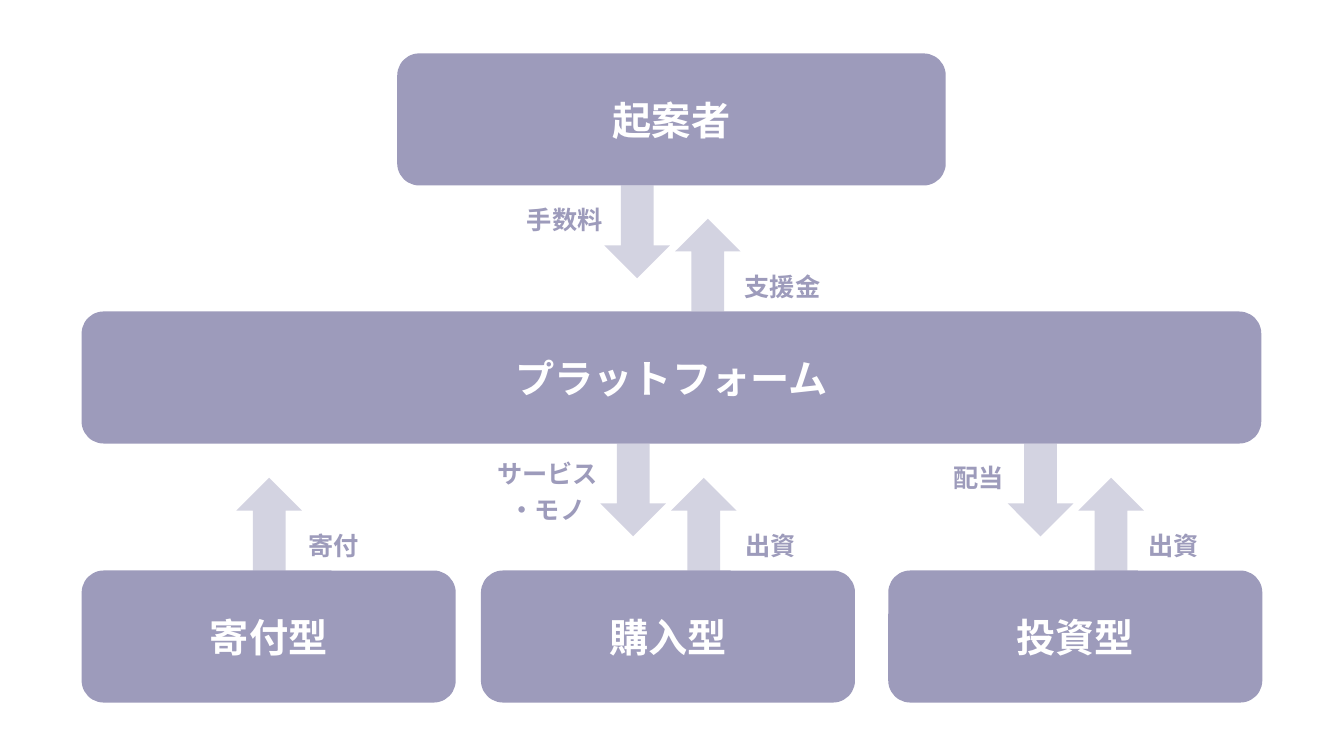
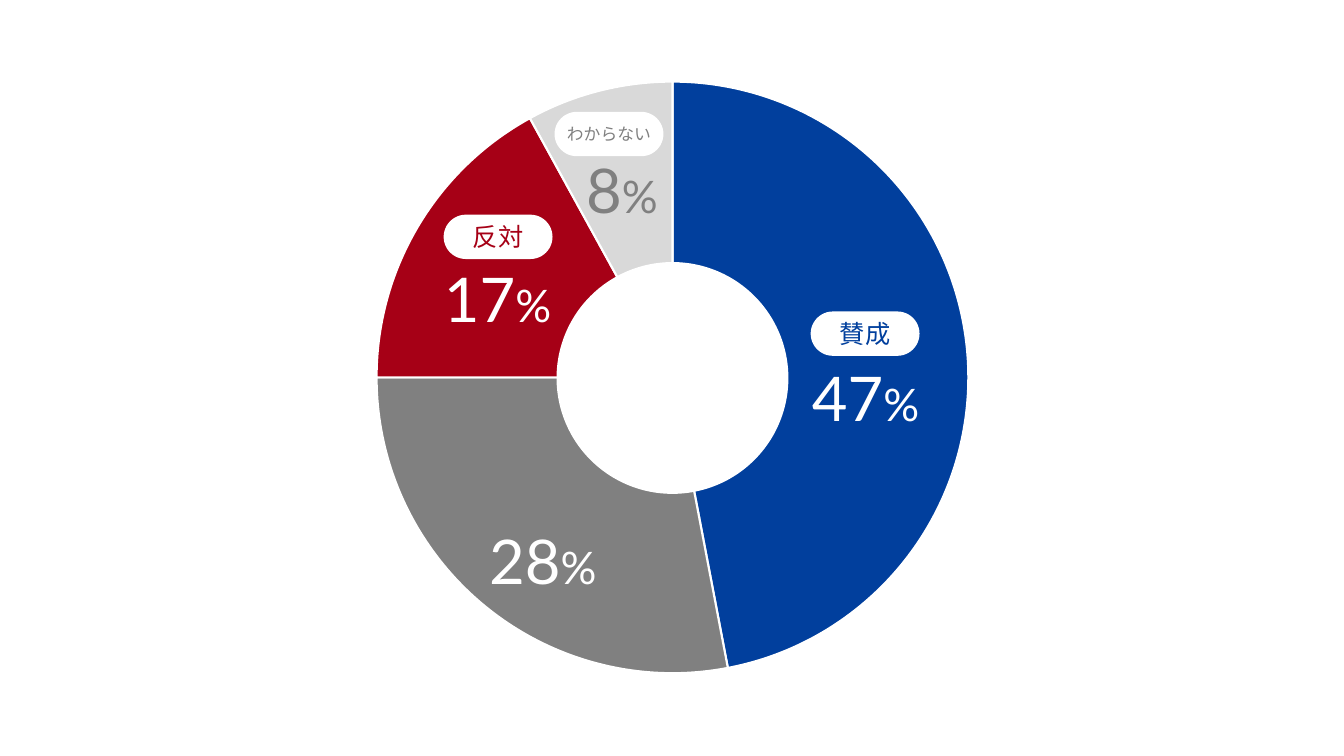
from lxml import etree
from pptx import Presentation
from pptx import util as u
from pptx.chart import data as chart_data
from pptx.dml.color import RGBColor
from pptx.enum import chart as chart_enum, shapes, text
from pptx.oxml import parse_xml
from pptx.oxml.ns import nsdecls, qn

COLORS = {
    "lavender": "9D9BBB",
    "white": "FFFFFF",
    "blue": "013F9D",
    "gray": "808080",
    "red": "A60016",
    "light_gray": "D9D9D9",
}
JAPANESE_FONT = "Noto Sans CJK JP"
NUMBER_FONT = "Lato"
BOX_HEIGHT = 1.31
ROW_TOPS = [0.53, 3.09, 5.66]
ARROW_WIDTH, ARROW_LENGTH, ARROW_GAP = 0.65, 0.92, 0.7
PILL_WIDTH, PILL_HEIGHT = 1.08, 0.44
PIE_DIAMETER, HOLE_DIAMETER = 5.87, 2.3


def color(name):
    return RGBColor.from_string(COLORS[name])


def inches(*lengths):
    return [u.Inches(length) for length in lengths]


def add_run(paragraph, words, size, color_name, font=JAPANESE_FONT, bold=False):
    run = paragraph.add_run()
    run.text = words
    run.font.size = u.Pt(size)
    run.font.bold = bold
    run.font.color.rgb = color(color_name)
    run.font.name = font
    east_asian = etree.SubElement(run.font._element, qn("a:ea"))
    east_asian.set("typeface", font)


def add_filled_shape(slide, kind, place, color_name):
    shape = slide.shapes.add_shape(kind, *inches(*place))
    shape.shadow.inherit = False
    shape.fill.solid()
    shape.fill.fore_color.rgb = color(color_name)
    shape.line.fill.background()
    return shape


def centered_paragraph(shape):
    paragraph = shape.text_frame.paragraphs[0]
    paragraph.alignment = text.PP_ALIGN.CENTER
    return paragraph


def add_box(slide, name, left, top, width):
    box = add_filled_shape(slide, shapes.MSO_SHAPE.ROUNDED_RECTANGLE,
                           (left, top, width, BOX_HEIGHT), "lavender")
    box.text_frame.vertical_anchor = text.MSO_ANCHOR.MIDDLE
    add_run(centered_paragraph(box), name, 28, "white", bold=True)


def add_arrow(slide, kind, center, top):
    arrow = add_filled_shape(slide, kind, (center - ARROW_WIDTH / 2, top,
                                           ARROW_WIDTH, ARROW_LENGTH), "lavender")
    fill_color = arrow.fill._xPr.find(qn("a:solidFill"))[0]
    etree.SubElement(fill_color, qn("a:alpha")).set("val", "44000")


def add_up_arrow(slide, center, lower_row):
    add_arrow(slide, shapes.MSO_SHAPE.UP_ARROW, center,
              ROW_TOPS[lower_row] - ARROW_LENGTH)


def add_arrow_pair(slide, center, lower_row):
    add_arrow(slide, shapes.MSO_SHAPE.DOWN_ARROW, center,
              ROW_TOPS[lower_row - 1] + BOX_HEIGHT)
    add_up_arrow(slide, center + ARROW_GAP, lower_row)


def add_text_box(slide, place, wrap):
    box = slide.shapes.add_textbox(*inches(*place))
    box.text_frame.word_wrap = wrap
    box.text_frame.auto_size = text.MSO_AUTO_SIZE.SHAPE_TO_FIT_TEXT
    return centered_paragraph(box)


def add_flow_label(slide, lines, left, top, width=1.58):
    height = 0.06 + 0.37 * len(lines)
    paragraph = add_text_box(slide, (left, top, width, height), True)
    paragraph.line_spacing = 1.2
    for index, line in enumerate(lines):
        if index:
            paragraph.add_line_break()
        add_run(paragraph, line, 18, "lavender", bold=True)


def add_percentage(slide, value, left, top, width, color_name):
    paragraph = add_text_box(slide, (left, top, width, 0.84), False)
    add_run(paragraph, str(value), 44, color_name, NUMBER_FONT)
    add_run(paragraph, "%", 32, color_name, NUMBER_FONT)


def add_pill(slide, answer, left, top, size, color_name):
    pill = add_filled_shape(slide, shapes.MSO_SHAPE.ROUNDED_RECTANGLE,
                            (left, top, PILL_WIDTH, PILL_HEIGHT), "white")
    pill.adjustments[0] = 0.5
    frame = pill.text_frame
    frame.margin_left = frame.margin_right = 0
    frame.margin_top = frame.margin_bottom = 0
    frame.word_wrap = False
    frame.vertical_anchor = text.MSO_ANCHOR.MIDDLE
    add_run(centered_paragraph(pill), answer, size, color_name)


def set_plot_size(chart, width_share, height_share):
    settings = [("layoutTarget", "inner"), ("xMode", "edge"), ("yMode", "edge"),
                ("x", (1 - width_share) / 2), ("y", (1 - height_share) / 2),
                ("w", width_share), ("h", height_share)]
    children = "".join(f'<c:{tag} val="{value}"/>' for tag, value in settings)
    layout = parse_xml(f'<c:layout {nsdecls("c")}><c:manualLayout>{children}'
                       '</c:manualLayout></c:layout>')
    plot_area = chart._chartSpace.chart.plotArea
    for old_layout in plot_area.findall(qn("c:layout")):
        plot_area.remove(old_layout)
    plot_area.insert(0, layout)


def add_pie(slide, left, top, width, height, slices):
    data = chart_data.CategoryChartData()
    data.categories = [str(number + 1) for number in range(len(slices))]
    data.add_series("Series 1", [value for value, _ in slices])
    frame = slide.shapes.add_chart(chart_enum.XL_CHART_TYPE.PIE,
                                   *inches(left, top, width, height), data)
    chart = frame.chart
    chart.has_legend = False
    chart.has_title = False
    chart.font.size = u.Pt(10)
    chart.font.name = JAPANESE_FONT
    chart.plots[0].vary_by_categories = True
    for index, (_, color_name) in enumerate(slices):
        point = chart.plots[0].series[0].points[index]
        point.format.fill.solid()
        point.format.fill.fore_color.rgb = color(color_name)
        point.format.line.color.rgb = color("white")
        point.format.line.width = u.Pt(1.5)
    set_plot_size(chart, PIE_DIAMETER / width, PIE_DIAMETER / height)


def build_funding_slide(slide):
    proposer_top, platform_top, type_top = ROW_TOPS
    add_box(slide, "起案者", 3.94, proposer_top, 5.44)
    add_box(slide, "プラットフォーム", 0.81, platform_top, 11.7)
    for name, left in [("寄付型", 0.81), ("購入型", 4.77), ("投資型", 8.81)]:
        add_box(slide, name, left, type_top, 3.71)

    add_up_arrow(slide, 2.67, 2)
    for center, lower_row in [(6.32, 1), (6.28, 2), (10.32, 2)]:
        add_arrow_pair(slide, center, lower_row)

    add_flow_label(slide, ["手数料"], 4.81, 1.92)
    add_flow_label(slide, ["支援金"], 6.97, 2.58)
    for name, left in [("寄付", 2.52), ("出資", 6.85), ("出資", 10.85)]:
        add_flow_label(slide, [name], left, 5.15)
    add_flow_label(slide, ["サービス", "・モノ"], 4.43, 4.44, 2)
    add_flow_label(slide, ["配当"], 9.23, 4.48, 0.96)


def build_survey_slide(slide):
    add_pie(slide, 2.04, 0.66, 9.26, 6.17,
            [(47, "blue"), (28, "gray"), (17, "red"), (8, "light_gray")])
    add_filled_shape(slide, shapes.MSO_SHAPE.OVAL,
                     (5.52, 2.6, HOLE_DIAMETER, HOLE_DIAMETER), "white")
    for answer, left, top, size, color_name in [
        ("賛成", 8.04, 3.09, 18, "blue"),
        ("反対", 4.4, 2.13, 18, "red"),
        ("わからない", 5.5, 1.11, 12, "gray"),
    ]:
        add_pill(slide, answer, left, top, size, color_name)
    for value, left, top, width, color_name in [
        (47, 7.9, 3.52, 1.37, "white"),
        (28, 4.7, 5.14, 1.37, "white"),
        (17, 4.25, 2.54, 1.37, "white"),
        (8, 5.67, 1.46, 1, "gray"),
    ]:
        add_percentage(slide, value, left, top, width, color_name)


def main():
    presentation = Presentation()
    presentation.slide_width, presentation.slide_height = inches(13.33, 7.5)
    for build in (build_funding_slide, build_survey_slide):
        build(presentation.slides.add_slide(presentation.slide_layouts[6]))
    presentation.save("out.pptx")


if __name__ == "__main__":
    main()
